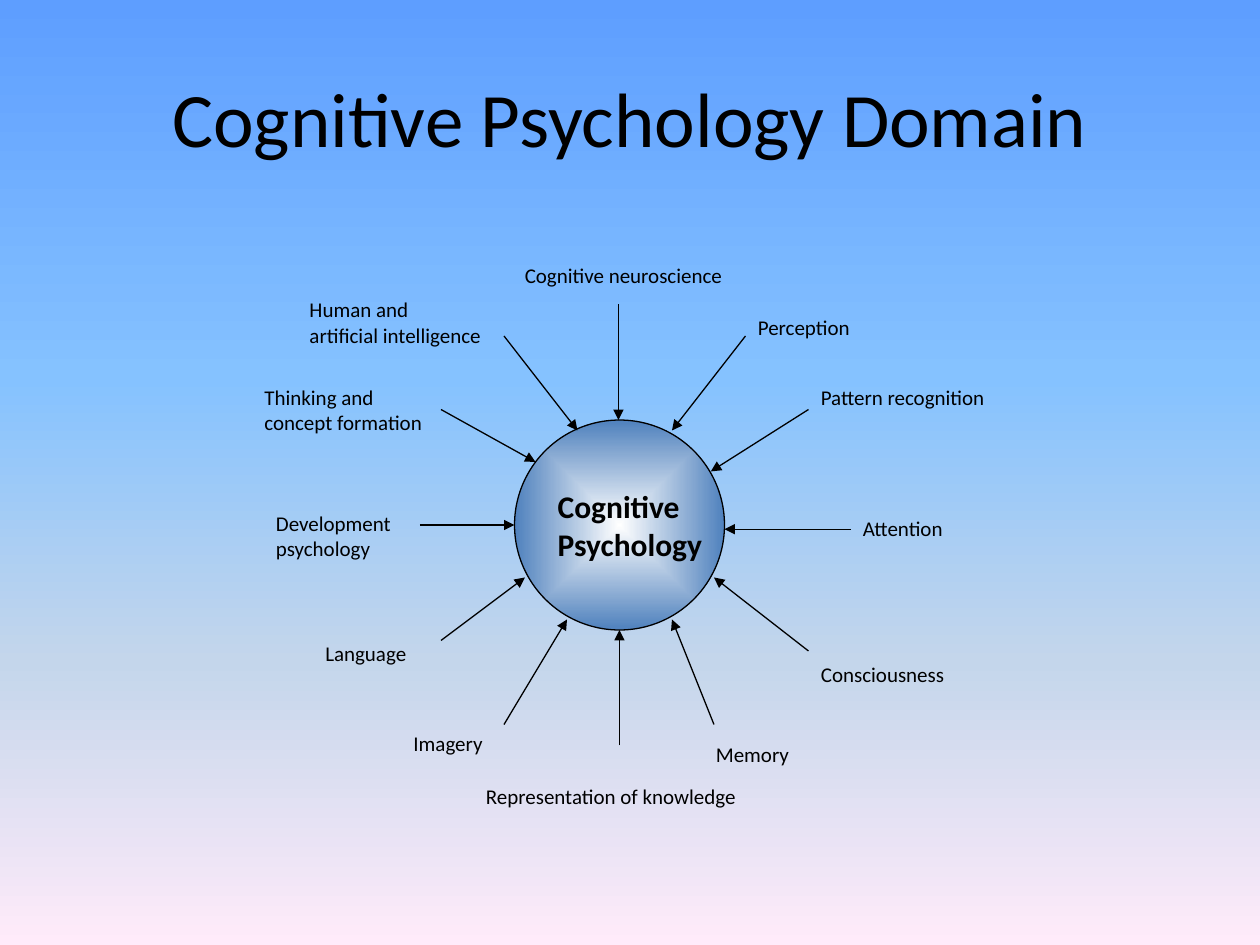
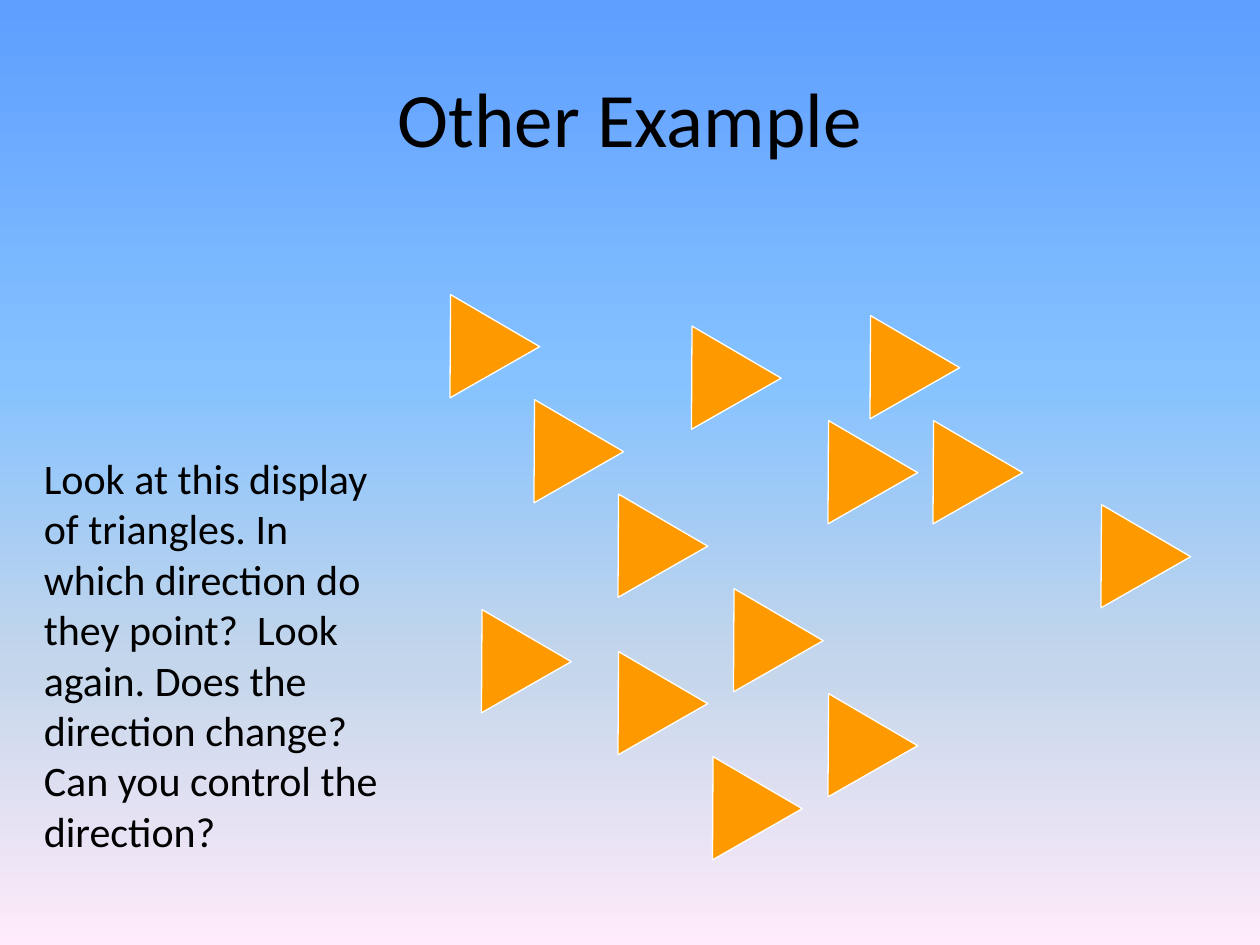
from lxml import etree
from pptx import Presentation
from pptx.dml.color import RGBColor
from pptx.enum.shapes import MSO_CONNECTOR, MSO_SHAPE
from pptx.enum.text import MSO_ANCHOR, MSO_AUTO_SIZE, PP_ALIGN
from pptx.oxml.ns import qn
from pptx.util import Inches, Pt

LINE = MSO_CONNECTOR.STRAIGHT
OVAL, TRIANGLE = MSO_SHAPE.OVAL, MSO_SHAPE.ISOSCELES_TRIANGLE
TOP, MIDDLE = MSO_ANCHOR.TOP, MSO_ANCHOR.MIDDLE
LEFT, CENTER = PP_ALIGN.LEFT, PP_ALIGN.CENTER
GROW = MSO_AUTO_SIZE.SHAPE_TO_FIT_TEXT

# The slide is a grid of 120 columns by 90 rows, twelve to the inch.
COLS, ROWS, CELL = 120, 90, Inches(1) / 12
FONT = "Calibri"
COLORS = {"ink": "000000", "white": "FFFFFF", "hub": "4F81BD", "orange": "FF9900",
          "sky": "5E9EFF", "azure": "85C2FF", "mist": "C4D6EB", "blush": "FFEBFA"}
SKY = [(0, "sky"), (40, "azure"), (70, "mist"), (100, "blush")]
GLOW = [(0, "white"), (100, "hub")]

# Label, its column, row and width, then the start and end of its arrow.
TOPICS = [
    ("Cognitive neuroscience", (48.8, 24.4, 23.2), (58.9, 29), (58.9, 40)),
    ("Perception", (71, 29.4, 11.9), (71, 32), (64, 41)),
    ("Pattern recognition", (77, 36, 19.2), (77, 39), (67.7, 44.9)),
    ("Attention", (81, 48.5, 10.3), (81, 50.4), (69, 50.4)),
    ("Consciousness", (77, 62.4, 16), (77, 62), (68, 55)),
    ("Memory", (67, 70, 9.6), (68, 69), (64, 59)),
    ("Representation of knowledge", (45.1, 74, 28.2), (59, 71), (59, 60)),
    ("Imagery", (38.2, 69, 9.6), (48, 69), (54, 59)),
    ("Language", (29.8, 60.4, 11.3), (42, 61), (50, 55)),
    ("Development\npsychology", (25.1, 48, 14.2), (40, 50), (49, 50)),
    ("Thinking and\nconcept formation", (24, 36, 18.2), (42, 39), (51, 44)),
    ("Human and\nartificial intelligence", (28.3, 27.7, 19.7), (48, 32), (55, 41)),
]

# Columns and rows counted from the corner of the field of triangles.
FIELD = (40.1, 27.5)
SPOTS = [(8, 10), (3, 30), (16, 19), (16, 34), (25, 44), (27, 28), (36, 38),
         (23, 3), (0, 0), (40, 2), (36, 12), (46, 12), (62, 20)]
QUESTION = ("Look at this display of triangles. In which direction do they point?  "
            "Look again. Does the direction change? Can you control the direction?")


def grid(*cells):
    return [round(cell * CELL) for cell in cells]


def color(name):
    return RGBColor.from_string(COLORS[name])


def blend(fill, root, stops, round_center=False):
    """Fill with colour stops, downwards or outwards from the centre."""
    fill.gradient()
    grad = root.find(".//" + qn("a:gradFill"))
    for child in list(grad):
        grad.remove(child)
    row = etree.SubElement(grad, qn("a:gsLst"))
    for share, name in stops:
        stop = etree.SubElement(row, qn("a:gs"), pos=str(share * 1000))
        etree.SubElement(stop, qn("a:srgbClr"), val=COLORS[name])
    if round_center:
        shade = etree.SubElement(grad, qn("a:path"), path="shape")
        etree.SubElement(shade, qn("a:fillToRect"),
                         {side: "50000" for side in "ltrb"})
    else:
        etree.SubElement(grad, qn("a:lin"), ang="5400000", scaled="0")


def write(shape, text, size=12, bold=False, align=LEFT, anchor=TOP,
          wrap=False, grow=False):
    frame = shape.text_frame
    frame.text = text
    frame.word_wrap = wrap
    frame.vertical_anchor = anchor
    if grow:
        frame.auto_size = GROW
    for para in frame.paragraphs:
        para.alignment = align
        font = para.font
        font.name, font.size, font.bold = FONT, Pt(size), bold
        font.color.rgb = color("ink")


def label(slide, text, box, **look):
    write(slide.shapes.add_textbox(*grid(*box)), text, **look)


def edge(line, name):
    line.color.rgb = color(name)
    line.width = Pt(0.75)


def figure(slide, kind, box, rim):
    shape = slide.shapes.add_shape(kind, *grid(*box))
    shape.shadow.inherit = False
    edge(shape.line, rim)
    return shape


def arrow(slide, start, end):
    link = slide.shapes.add_connector(LINE, *grid(*start, *end))
    edge(link.line, "ink")
    props = link.element.spPr
    etree.SubElement(props.find(qn("a:ln")), qn("a:tailEnd"), type="triangle")
    etree.SubElement(props, qn("a:effectLst"))


def add_slide(deck, title):
    slide = deck.slides.add_slide(deck.slide_layouts[6])
    blend(slide.background.fill, slide.element, SKY)
    label(slide, title, (6, 3.6, COLS - 12, 15), size=44, align=CENTER,
          anchor=MIDDLE, wrap=True)
    return slide


def domain(deck):
    slide = add_slide(deck, "Cognitive Psychology Domain")
    hub = figure(slide, OVAL, (49, 40, 20, 20), "ink")
    blend(hub.fill, hub.element, GLOW, round_center=True)
    write(hub, "Cognitive\nPsychology", size=18, bold=True, anchor=MIDDLE)
    for text, (col, row, width), start, end in TOPICS:
        arrow(slide, start, end)
        height = 6 if "\n" in text else 3.6
        label(slide, text, (col, row, width, height), grow=True)


def example(deck):
    slide = add_slide(deck, "Other Example")
    left, top = FIELD
    for col, row in SPOTS:
        shape = figure(slide, TRIANGLE, (left + col, top + row, 9.84, 8.52), "white")
        shape.rotation = 330.3
        shape.fill.solid()
        shape.fill.fore_color.rgb = color("orange")
    label(slide, QUESTION, (3, 42.5, 36, 39.6), size=24, wrap=True, grow=True)


def main():
    deck = Presentation()
    deck.slide_width, deck.slide_height = grid(COLS, ROWS)
    domain(deck)
    example(deck)
    deck.save("out.pptx")


if __name__ == "__main__":
    main()
